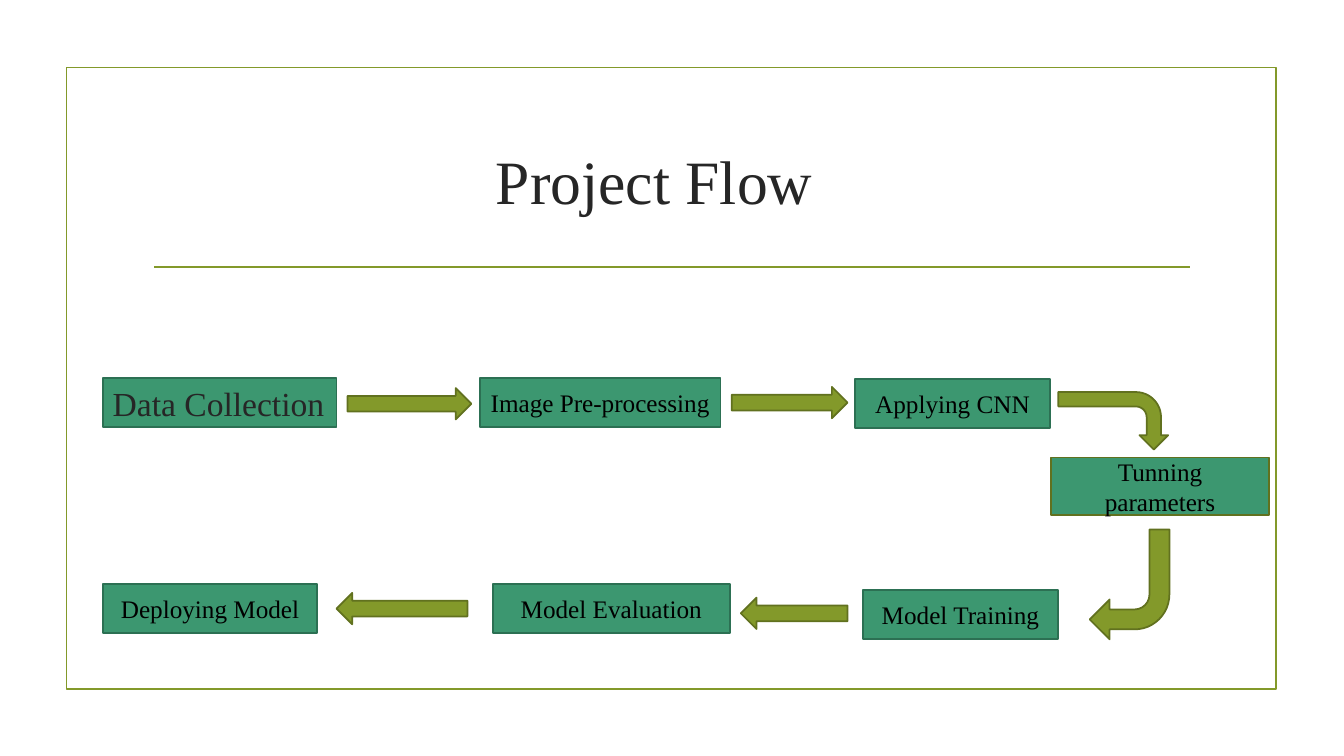
import pptx
import pptx.dml.color
import pptx.enum.shapes
import pptx.enum.text
import pptx.oxml.ns
import pptx.util
from lxml import etree

Cm = pptx.util.Cm
KIND = pptx.enum.shapes.MSO_SHAPE
ALIGN = pptx.enum.text.PP_ALIGN
OLIVE, MOSS = "83992A", "61711F"
GREEN, PINE = "3C9770", "2C7053"
INK, BLACK = "262626", "000000"
STEP, ARROW = 1.24, 0.79

# label, left, top, width, height, format
STEPS = [
    ("Data Collection", 0, 0, 5.89, STEP,
     dict(size=24, color=INK, align=ALIGN.LEFT)),
    ("Image Pre-processing", 9.5, 0, 6.07, STEP, {}),
    ("Applying CNN", 18.95, 0.02, 4.93, STEP, {}),
    ("Tunning parameters", 23.9, 2, 5.49, 1.45, {}),
    ("Model Training", 19.15, 5.33, 4.93, STEP, {}),
    ("Model Evaluation", 9.83, 5.18, 5.97, STEP, {}),
    ("Deploying Model", 0, 5.18, 5.41, STEP, {}),
]
# kind, left, top, width, height, turn
ARROWS = [
    (KIND.RIGHT_ARROW, 6.17, 0.25, 3.12, ARROW, 0),
    (KIND.RIGHT_ARROW, 15.85, 0.22, 2.92, ARROW, 0),
    (KIND.BENT_ARROW, 24.74, -0.31, 1.45, 2.77, 90),
    (KIND.BENT_ARROW, 24.87, 3.81, 2.01, 2.77, 180),
    (KIND.RIGHT_ARROW, 16.08, 5.53, 2.69, ARROW, 180),
    (KIND.RIGHT_ARROW, 5.89, 5.41, 3.3, ARROW, 180),
]


def paint(form, code):
    """Set a fill or a line to one solid colour."""
    form.solid()
    form.fore_color.rgb = pptx.dml.color.RGBColor.from_string(code)


def write(shape, text, size=18, color=BLACK, align=ALIGN.CENTER):
    frame = shape.text_frame
    frame.word_wrap = True
    frame.vertical_anchor = pptx.enum.text.MSO_ANCHOR.MIDDLE
    para = frame.paragraphs[0]
    para.alignment = align
    run = para.add_run()
    run.text = text
    run.font.name = "Times New Roman"
    run.font.size = pptx.util.Pt(size)
    paint(run.font.fill, color)


def draw(slide, kind, box, fill, line):
    shape = slide.shapes.add_shape(kind, *map(Cm, box))
    shape.shadow.inherit = False
    if fill:
        paint(shape.fill, fill)
    else:
        shape.fill.background()
    paint(shape.line.fill, line)
    shape.line.width = pptx.util.Pt(1.25)
    return shape


def border(slide, box):
    """Draw the thin frame and the rule under the heading."""
    draw(slide, KIND.RECTANGLE, box, None, OLIVE)
    left, top, width, _ = box
    y = Cm(top + 5.03)
    rule = slide.shapes.add_connector(
        pptx.enum.shapes.MSO_CONNECTOR.STRAIGHT,
        Cm(left + 2.21), y, Cm(left + width - 2.16), y)
    paint(rule.line.fill, OLIVE)
    rule.line.width = pptx.util.Pt(1.25)
    props = rule._element.spPr
    etree.SubElement(props, pptx.oxml.ns.qn("a:effectLst"))


def heading(slide, box):
    title = slide.shapes.add_textbox(*map(Cm, box))
    write(title, "Project Flow\t", size=44, color=INK)


def flow(slide, box):
    """Place the steps and the arrows between them."""
    left, top = box[:2]
    for kind, x, y, width, height, turn in ARROWS:
        place = (left + x, top + y, width, height)
        draw(slide, kind, place, OLIVE, MOSS).rotation = turn
    for label, x, y, width, height, style in STEPS:
        edge = PINE if height == STEP else MOSS
        place = (left + x, top + y, width, height)
        write(draw(slide, KIND.RECTANGLE, place, GREEN, edge), label, **style)


def main():
    deck = pptx.Presentation()
    deck.slide_width, deck.slide_height = Cm(33.87), Cm(19.05)
    slide = deck.slides.add_slide(deck.slide_layouts[6])
    border(slide, (1.68, 1.7, 30.48, 15.67))
    heading(slide, (3.61, 2.72, 26.67, 3.63))
    flow(slide, (2.59, 9.53, 29.39, 6.58))
    deck.save("out.pptx")


if __name__ == "__main__":
    main()
